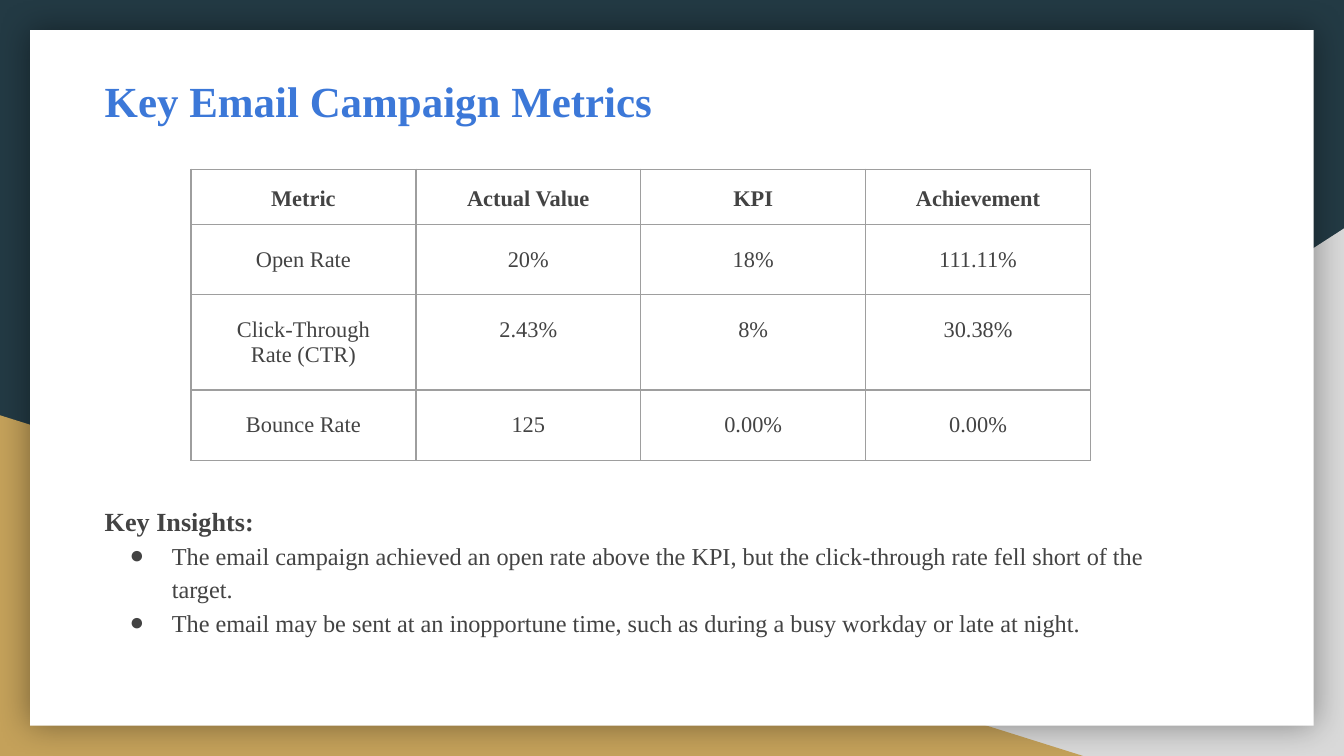
from dataclasses import dataclass

import pptx
import pptx.dml.color
import pptx.enum.shapes
import pptx.enum.text
import pptx.oxml
import pptx.oxml.ns
import pptx.util
from pptx.util import Cm

ALIGN = pptx.enum.text.PP_ALIGN
ANCHOR = pptx.enum.text.MSO_ANCHOR
SHAPE = pptx.enum.shapes.MSO_SHAPE
A_NS = pptx.oxml.ns.nsdecls("a")


@dataclass(frozen=True)
class Theme:
    font: str = "Times New Roman"
    backdrop: str = "233A44"
    grey: str = "D9D9D9"
    gold: str = "C4A15A"
    card: str = "FFFFFF"
    shadow: str = "000000"
    border: str = "9E9E9E"
    title: str = "3C78D8"
    text: str = "434343"
    title_size: float = 23
    heading_size: float = 14
    bullet_size: float = 13
    table_size: float = 12
    border_width: float = 0.75
    line_spacing: float = 1.15


@dataclass(frozen=True)
class Box:
    left: float
    top: float
    width: float
    height: float

    def lengths(self) -> list:
        return [Cm(v) for v in (self.left, self.top, self.width, self.height)]


@dataclass(frozen=True)
class Panel:
    kind: int
    box: Box
    color: str
    flipped: bool = False


@dataclass(frozen=True)
class MetricRow:
    values: tuple
    height: float
    inset: float = 0.43
    bold: bool = False


THEME = Theme()
SLIDE_W, SLIDE_H = 25.4, 14.29
CARD_MARGIN = 0.57
COLUMN_W = 4.25
INSET = 0.25

PANELS = [
    Panel(SHAPE.RIGHT_TRIANGLE, Box(9.96, 4.32, 15.44, 9.97), THEME.grey, True),
    Panel(SHAPE.RIGHT_TRIANGLE, Box(0, 7.85, 20.47, 6.44), THEME.gold),
]
CARD = Panel(
    SHAPE.RECTANGLE,
    Box(CARD_MARGIN, CARD_MARGIN, SLIDE_W - 2 * CARD_MARGIN, SLIDE_H - 2 * CARD_MARGIN),
    THEME.card,
)
METRICS = [
    MetricRow(("Metric", "Actual Value", "KPI", "Achievement"), 1, INSET, True),
    MetricRow(("Open Rate", "20%", "18%", "111.11%"), 1.27),
    MetricRow(("Click-Through Rate (CTR)", "2.43%", "8%", "30.38%"), 1.75),
    MetricRow(("Bounce Rate", "125", "0.00%", "0.00%"), 1.27),
]
INSIGHTS = [
    "The email campaign achieved an open rate above the KPI, "
    "but the click-through rate fell short of the target.",
    "The email may be sent at an inopportune time, "
    "such as during a busy workday or late at night.",
]


def rgb(color: str) -> pptx.dml.color.RGBColor:
    return pptx.dml.color.RGBColor.from_string(color)


def apply(target, settings: dict) -> None:
    for attribute, value in settings.items():
        setattr(target, attribute, value)


def set_insets(holder, inset: float) -> None:
    sides = ("left", "right", "top", "bottom")
    apply(holder, {f"margin_{side}": Cm(inset) for side in sides})


def write(paragraph, text: str, size: float, color: str, bold: bool = False):
    run = paragraph.add_run()
    run.text = text
    apply(run.font, {"name": THEME.font, "size": pptx.util.Pt(size), "bold": bold})
    run.font.color.rgb = rgb(color)


def add_panel(slide, panel: Panel):
    shape = slide.shapes.add_shape(panel.kind, *panel.box.lengths())
    shape.shadow.inherit = False
    shape.fill.solid()
    shape.fill.fore_color.rgb = rgb(panel.color)
    shape.line.fill.background()
    if panel.flipped:
        shape._element.spPr.find(pptx.oxml.ns.qn("a:xfrm")).set("flipH", "1")
    return shape


def add_glow_shadow(shape, blur: float, opacity: int) -> None:
    effects = shape._element.spPr.find(pptx.oxml.ns.qn("a:effectLst"))
    effects.append(pptx.oxml.parse_xml(
        f'<a:outerShdw {A_NS} blurRad="{pptx.util.Pt(blur)}" dist="0" dir="0" '
        f'algn="ctr" rotWithShape="0"><a:srgbClr val="{THEME.shadow}">'
        f'<a:alpha val="{opacity * 1000}"/></a:srgbClr></a:outerShdw>'))


def add_text_area(slide, box: Box, anchor):
    frame = slide.shapes.add_textbox(*box.lengths()).text_frame
    apply(frame, {"word_wrap": True, "vertical_anchor": anchor})
    set_insets(frame, INSET)
    return frame


def add_bullet(paragraph) -> None:
    properties = paragraph._p.get_or_add_pPr()
    properties.set("marL", str(Cm(1.27)))
    properties.set("indent", str(-Cm(0.8)))
    for tag in (f'buClr {A_NS}><a:srgbClr val="{THEME.text}"/></a:buClr',
                f'buFont {A_NS} typeface="{THEME.font}"/',
                f'buChar {A_NS} char="●"/'):
        properties.append(pptx.oxml.parse_xml(f"<a:{tag}>"))


def add_borders(cell) -> None:
    properties = cell._tc.get_or_add_tcPr()
    for index, side in enumerate(("lnL", "lnR", "lnT", "lnB")):
        properties.insert(index, pptx.oxml.parse_xml(
            f'<a:{side} {A_NS} w="{pptx.util.Pt(THEME.border_width)}"><a:solidFill>'
            f'<a:srgbClr val="{THEME.border}"/></a:solidFill></a:{side}>'))


def add_metrics_table(slide, left: float, top: float, rows: list) -> None:
    columns = len(rows[0].values)
    box = Box(left, top, COLUMN_W * columns, sum(row.height for row in rows))
    table = slide.shapes.add_table(len(rows), columns, *box.lengths()).table
    apply(table, {"first_row": False, "horz_banding": False})
    for r, row in enumerate(rows):
        table.rows[r].height = Cm(row.height)
        for c, value in enumerate(row.values):
            cell = table.cell(r, c)
            cell.fill.background()
            set_insets(cell, row.inset)
            add_borders(cell)
            paragraph = cell.text_frame.paragraphs[0]
            paragraph.alignment = ALIGN.CENTER
            if row.bold:
                paragraph.line_spacing = THEME.line_spacing
            write(paragraph, value, THEME.table_size, THEME.text, row.bold)


def main() -> None:
    deck = pptx.Presentation()
    apply(deck, {"slide_width": Cm(SLIDE_W), "slide_height": Cm(SLIDE_H)})
    slide = deck.slides.add_slide(deck.slide_layouts[6])

    # Backdrop and card
    slide.background.fill.solid()
    slide.background.fill.fore_color.rgb = rgb(THEME.backdrop)
    for panel in PANELS:
        add_panel(slide, panel)
    add_glow_shadow(add_panel(slide, CARD), blur=18, opacity=40)

    # Metrics
    add_metrics_table(slide, 3.61, 3.2, METRICS)

    # Title
    title = add_text_area(slide, Box(1.73, 1.12, 20.75, 1.57), ANCHOR.MIDDLE)
    write(title.paragraphs[0], "Key Email Campaign Metrics",
          THEME.title_size, THEME.title, True)

    # Insights
    insights = add_text_area(slide, Box(1.73, 9.3, 20.75, 2.74), ANCHOR.TOP)
    write(insights.paragraphs[0], "Key Insights:", THEME.heading_size, THEME.text, True)
    for insight in INSIGHTS:
        paragraph = insights.add_paragraph()
        paragraph.line_spacing = THEME.line_spacing
        add_bullet(paragraph)
        write(paragraph, insight, THEME.bullet_size, THEME.text)

    deck.save("out.pptx")


if __name__ == "__main__":
    main()
